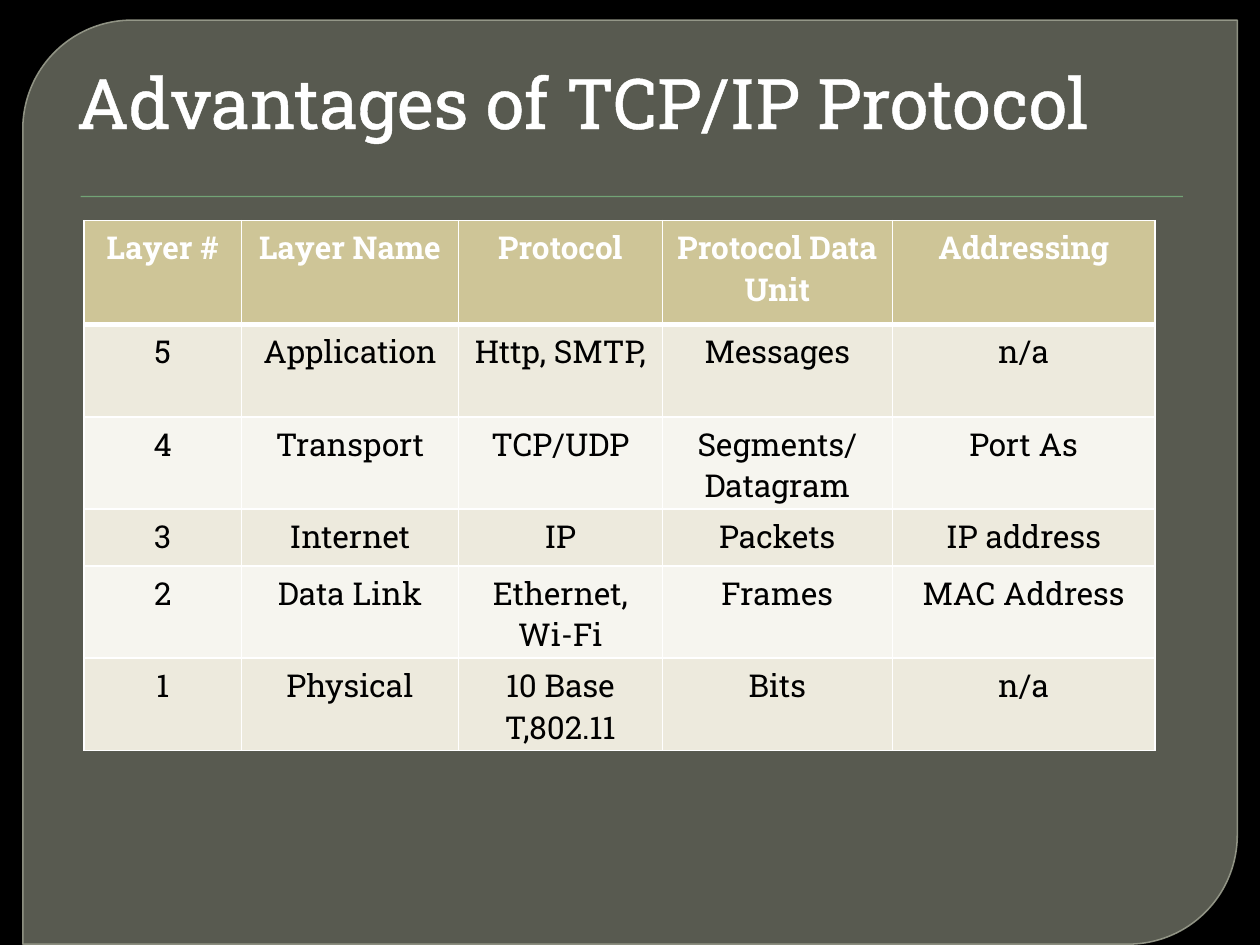
import pptx
import pptx.dml.color
import pptx.enum.shapes
import pptx.enum.text
import pptx.oxml
import pptx.oxml.ns
import pptx.util

Pt = pptx.util.Pt
SHAPES = pptx.enum.shapes.MSO_SHAPE
NAMESPACE = pptx.oxml.ns.nsdecls("a")
FONT = "Roboto Slab"

TITLE = "Advantages of TCP/IP Protocol"
LAYERS = [
    ("Layer #", "Layer Name", "Protocol", "Protocol Data Unit", "Addressing"),
    ("5", "Application", "Http, SMTP,", "Messages", "n/a"),
    ("4", "Transport", "TCP/UDP", "Segments/ Datagram", "Port As"),
    ("3", "Internet", "IP", "Packets", "IP address"),
    ("2", "Data Link", "Ethernet, Wi-Fi", "Frames", "MAC Address"),
    ("1", "Physical", "10 Base T,802.11", "Bits", "n/a"),
]
COLUMN_WIDTHS = [90, 124, 116.5, 131.5, 150]
ROW_HEIGHTS = [59.5, 52.7, 52.7, 32.5, 52.7, 52.7]
HEADER_FILL, BAND_FILLS = "CEC597", ("F6F5EF", "EDEADD")


def color(value):
    """Turn a hex string into a colour."""
    return pptx.dml.color.RGBColor.from_string(value)


def element(markup):
    """Parse DrawingML whose root tag carries the placeholder NS."""
    return pptx.oxml.parse_xml(markup.replace("NS", NAMESPACE, 1))


def paint(fill, value, alpha=None):
    """Set a solid fill, with an optional opacity in percent."""
    fill.solid()
    fill.fore_color.rgb = color(value)
    if alpha is not None:
        tint = fill._xPr.find(".//" + pptx.oxml.ns.qn("a:srgbClr"))
        tint.append(element(f'<a:alpha NS val="{alpha * 1000}"/>'))


def write(frame, text, size, ink, bold=False):
    """Write one centred paragraph and return its run."""
    frame.word_wrap = True
    para = frame.paragraphs[0]
    para.alignment = pptx.enum.text.PP_ALIGN.CENTER
    span = para.add_run()
    span.text = text
    span.font.name, span.font.size, span.font.bold = FONT, Pt(size), bold
    span.font.color.rgb = color(ink)
    return span


def add_shape(page, kind, left, top, width, height, fill, alpha=None):
    """Add a filled preset shape without line or shadow."""
    shape = page.shapes.add_shape(kind, Pt(left), Pt(top), Pt(width), Pt(height))
    shape.shadow.inherit = False
    paint(shape.fill, fill, alpha)
    shape.line.fill.background()
    return shape


def add_panel(page):
    """Add the translucent panel with two rounded corners."""
    panel = add_shape(page, SHAPES.ROUND_2_DIAG_RECTANGLE,
                      13, 11.5, 694, 528, "888B7B", 65)
    panel.adjustments[0], panel.adjustments[1] = 0.118, 0
    paint(panel.line.fill, "9DA090", 88)
    panel.line.width = Pt(0.87)


def add_divider(page):
    """Add the thin green rule with its soft shadow."""
    divider = add_shape(page, SHAPES.RECTANGLE, 46, 112, 630, 0.72, "72A376")
    effects = divider._element.spPr.find(pptx.oxml.ns.qn("a:effectLst"))
    effects.append(element(
        f'<a:outerShdw NS blurRad="{Pt(1)}" dist="{Pt(1)}" dir="5400000">'
        '<a:srgbClr val="000000"><a:alpha val="75000"/></a:srgbClr></a:outerShdw>'))


def line_markup(tag, width):
    """Return a solid white line under the given tag."""
    return (f'<a:{tag} NS w="{Pt(width)}"><a:solidFill><a:srgbClr val="FFFFFF"/>'
            f'</a:solidFill></a:{tag}>')


def add_title(page):
    """Add the outlined title."""
    box = page.shapes.add_textbox(Pt(0), Pt(30), Pt(666), Pt(55.5))
    box.text_frame.vertical_anchor = pptx.enum.text.MSO_ANCHOR.MIDDLE
    span = write(box.text_frame, TITLE, 40, "FFFFFF")
    span.font._element.insert(0, element(line_markup("ln", 1.45)))


def add_layers(page):
    """Add the banded table of network layers."""
    table = page.shapes.add_table(
        len(LAYERS), len(COLUMN_WIDTHS), Pt(48), Pt(126),
        Pt(sum(COLUMN_WIDTHS)), Pt(sum(ROW_HEIGHTS))).table
    for column, width in zip(table.columns, COLUMN_WIDTHS):
        column.width = Pt(width)
    for index, (height, texts) in enumerate(zip(ROW_HEIGHTS, LAYERS)):
        table.rows[index].height = Pt(height)
        header = index == 0
        for cell, text in zip(table.rows[index].cells, texts):
            write(cell.text_frame, text, 18, "FFFFFF" if header else "000000", header)
            paint(cell.fill, HEADER_FILL if header else BAND_FILLS[index % 2])
            borders = {"lnL": 1, "lnR": 1, "lnT": 3 if index == 1 else 1,
                       "lnB": 3 if header else 1}
            properties = cell._tc.get_or_add_tcPr()
            for place, (tag, width) in enumerate(borders.items()):
                properties.insert(place, element(line_markup(tag, width)))


deck = pptx.Presentation()
deck.slide_width, deck.slide_height = Pt(720), Pt(540)
page = deck.slides.add_slide(deck.slide_layouts[6])
paint(page.background.fill, "000000")
add_panel(page)
add_divider(page)
add_title(page)
add_layers(page)
deck.save("out.pptx")
